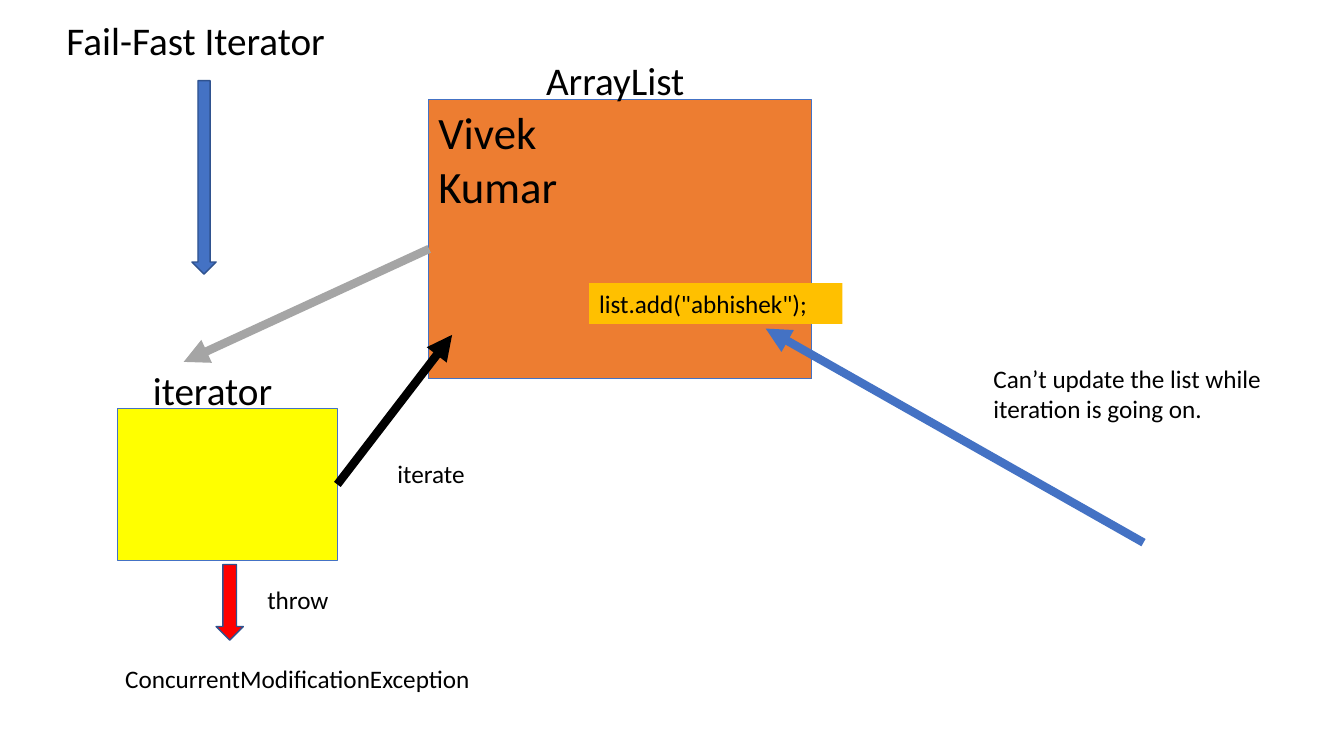
from dataclasses import dataclass
from typing import Optional

from lxml.etree import SubElement
from pptx import Presentation
from pptx.dml.color import RGBColor
from pptx.enum.shapes import MSO_CONNECTOR, MSO_SHAPE
from pptx.enum.text import MSO_ANCHOR, PP_ALIGN
from pptx.oxml.ns import qn
from pptx.shapes.autoshape import Shape
from pptx.shapes.connector import Connector
from pptx.slide import Slide
from pptx.util import Pt

FONT = "Calibri"
BLACK = "000000"
BLUE = "4472C4"
DARK_BLUE = "2F528F"


@dataclass
class Block:
    key: str
    left: float
    top: float
    width: float
    height: float
    fill: str
    line: Optional[str] = None
    line_width: float = 0.75
    preset: MSO_SHAPE = MSO_SHAPE.RECTANGLE
    text: str = ""
    size: float = 18


@dataclass
class Label:
    text: str
    left: float
    top: float
    width: float
    height: float = 28.8
    size: float = 18


@dataclass
class Arrow:
    begin: tuple[float, float]
    end: tuple[float, float]
    color: str
    source: Optional[str] = None
    side: int = 0


TITLE = Label("Fail-Fast Iterator", 40.3, 7.9, 220.3, 41, 28)

BLOCKS = [
    Block("list", 306.2, 71.3, 274, 199.4, "ED7D31", BLUE, text="Vivek\nKumar", size=32),
    Block("iterator", 83.9, 291.6, 157.2, 108.9, "FFFF00", BLUE),
    Block("add call", 421, 202.3, 181.1, 29, "FFC000", text='list.add("abhishek");'),
    Block("throw arrow", 154.5, 403.2, 19.4, 54, "FF0000", DARK_BLUE, 1, MSO_SHAPE.DOWN_ARROW),
    Block("title arrow", 137.2, 57.6, 17.3, 138.2, BLUE, DARK_BLUE, 1, MSO_SHAPE.DOWN_ARROW),
]

ARROWS = [
    Arrow((306.7, 177.8), (131.3, 258.5), "A5A5A5"),
    Arrow((241.1, 346), (323.1, 239.2), BLACK, "iterator", 3),
    Arrow((817.2, 387.6), (547.2, 234.7), BLUE),
]

LABELS = [
    Label("iterator", 102.2, 257.8, 126.7, 41, 28),
    Label("iterate", 276.9, 323.7, 87.8),
    Label("ConcurrentModificationException", 82.4, 470.6, 356.4),
    Label("throw", 183.9, 413.7, 131),
    Label("ArrayList", 383.2, 36.7, 154.1, 41, 28),
    Label("Can’t update the list while iteration is going on.", 702.9, 255.9, 211.7, 50.4),
]


def color_of(value: str) -> RGBColor:
    return RGBColor.from_string(value)


def write_text(shape: Shape, text: str, size: float) -> None:
    text_frame = shape.text_frame
    text_frame.text = text
    text_frame.word_wrap = True
    text_frame.vertical_anchor = MSO_ANCHOR.TOP
    for paragraph in text_frame.paragraphs:
        paragraph.alignment = PP_ALIGN.LEFT
        paragraph.line_spacing = 1.0
        paragraph.space_before = Pt(0)
        for run in paragraph.runs:
            run.font.name = FONT
            run.font.size = Pt(size)
            run.font.color.rgb = color_of(BLACK)


def place_title(slide: Slide, label: Label) -> None:
    title = slide.shapes.title
    title.left, title.top = Pt(label.left), Pt(label.top)
    title.width, title.height = Pt(label.width), Pt(label.height)
    write_text(title, label.text, label.size)


def add_block(slide: Slide, block: Block) -> Shape:
    shape = slide.shapes.add_shape(
        block.preset, Pt(block.left), Pt(block.top), Pt(block.width), Pt(block.height)
    )
    shape.shadow.inherit = False
    shape.fill.solid()
    shape.fill.fore_color.rgb = color_of(block.fill)
    if block.line:
        shape.line.color.rgb = color_of(block.line)
        shape.line.width = Pt(block.line_width)
    else:
        shape.line.fill.background()
    if block.text:
        write_text(shape, block.text, block.size)
    return shape


def add_label(slide: Slide, label: Label) -> None:
    shape = slide.shapes.add_textbox(
        Pt(label.left), Pt(label.top), Pt(label.width), Pt(label.height)
    )
    write_text(shape, label.text, label.size)


def add_arrow(slide: Slide, arrow: Arrow, shapes: dict[str, Shape]) -> Connector:
    begin_x, begin_y = arrow.begin
    end_x, end_y = arrow.end
    connector = slide.shapes.add_connector(
        MSO_CONNECTOR.STRAIGHT, Pt(begin_x), Pt(begin_y), Pt(end_x), Pt(end_y)
    )
    if arrow.source:
        connector.begin_connect(shapes[arrow.source], arrow.side)
    connector.line.color.rgb = color_of(arrow.color)
    connector.line.width = Pt(6)
    properties = connector._element.spPr
    SubElement(properties.find(qn("a:ln")), qn("a:tailEnd"), type="triangle")
    SubElement(properties, qn("a:effectLst"))
    return connector


def main() -> None:
    presentation = Presentation()
    presentation.slide_width = Pt(960.5)
    presentation.slide_height = Pt(540)
    slide = presentation.slides.add_slide(presentation.slide_layouts.get_by_name("Title Only"))
    place_title(slide, TITLE)
    shapes = {block.key: add_block(slide, block) for block in BLOCKS}
    for arrow in ARROWS:
        add_arrow(slide, arrow, shapes)
    for label in LABELS:
        add_label(slide, label)
    presentation.save("out.pptx")


if __name__ == "__main__":
    main()
